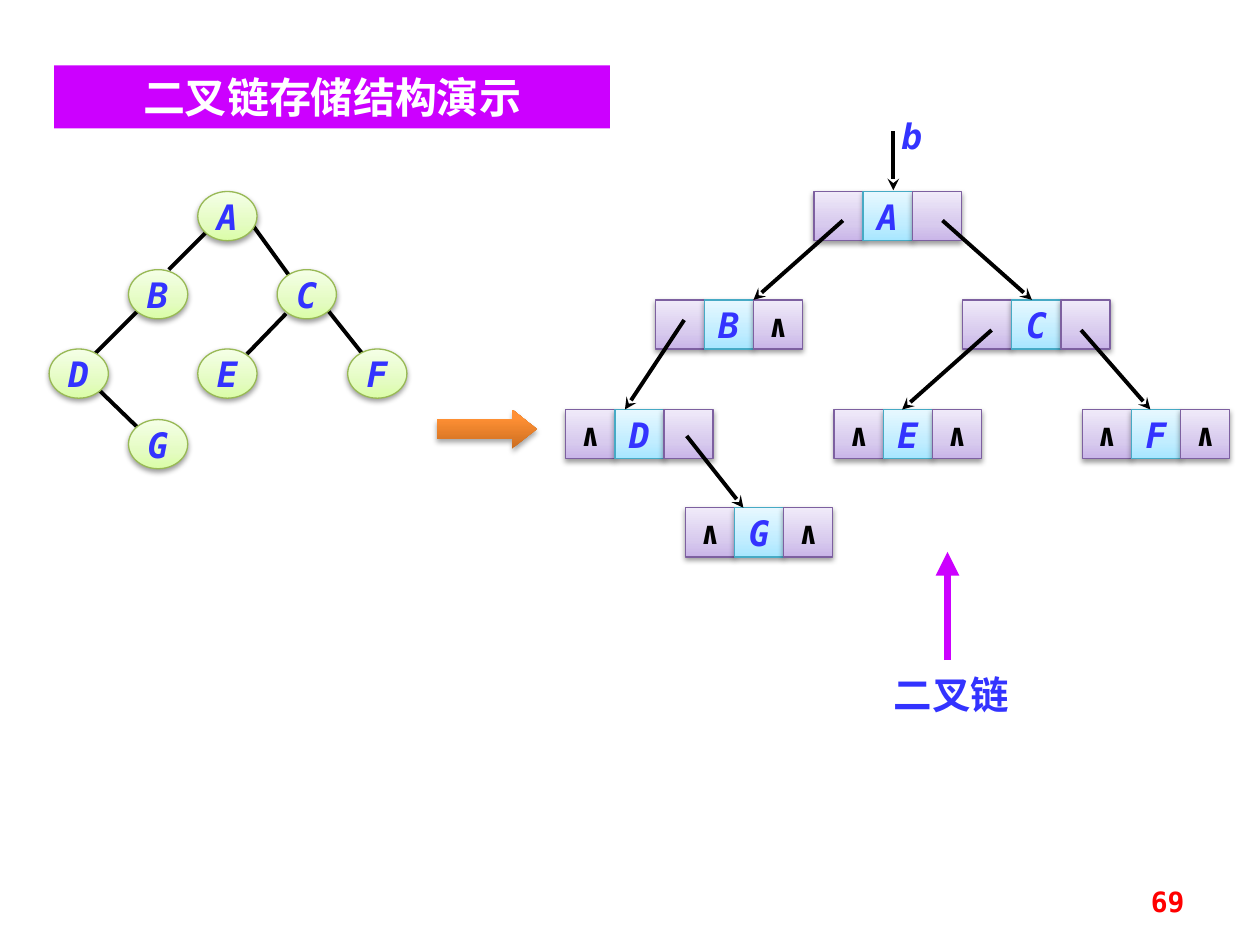
"""Build a slide that turns a binary tree into its linked storage structure."""
from dataclasses import dataclass

from lxml import etree
from pptx import Presentation
from pptx import util as u
from pptx.dml import color
from pptx.enum import shapes, text
from pptx.oxml import ns

MONO, CJK = "DejaVu Sans Mono", "Noto Sans CJK SC"
BLUE, BLACK, RED, WHITE, MAGENTA = "3333FF", "000000", "FF0000", "FFFFFF", "CC00FF"
CELL = 0.39
NULL = "∧"


@dataclass(frozen=True)
class Finish:
    """Gradient, outline and shadow of a raised shape."""
    stops: tuple[tuple[int, str], ...]
    outline: str | None = None
    opacity: int = 38
    distance: float = 1.6


@dataclass(frozen=True)
class Style:
    """Look of a run of text."""
    size: float
    hue: str
    italic: bool = False
    font: str = MONO


@dataclass(frozen=True)
class TreeNode:
    """Circle of the binary tree."""
    label: str
    left: float
    top: float


@dataclass(frozen=True)
class LinkNode:
    """Three-cell record, placed by its middle cell."""
    label: str
    left: float
    top: float
    left_link: str = ""
    right_link: str = ""


@dataclass(frozen=True)
class Link:
    """Straight line between two points."""
    start: tuple[float, float]
    end: tuple[float, float]


GREEN_FINISH = Finish(((0, "DAFDA7"), (35, "E4FCC2"), (100, "F5FFE7")), "98B955")
PURPLE_FINISH = Finish(((0, "C9B5E8"), (35, "D8CBEE"), (100, "F0EAF9")), "7D60A0")
CYAN_FINISH = Finish(((0, "A7E6FF"), (35, "C1EDFF"), (100, "E7F8FF")), "46AAC5")
ORANGE_FINISH = Finish(((0, "CC6E20"), (80, "FF9034"), (100, "FF9136")), None, 35, 1.8)
LABEL = Style(20, BLUE, italic=True)
MARK = Style(18, BLACK)

TREE_NODES = (
    TreeNode("A", 1.57, 1.52), TreeNode("B", 1.02, 2.14), TreeNode("C", 2.2, 2.14),
    TreeNode("D", 0.39, 2.77), TreeNode("E", 1.57, 2.77), TreeNode("G", 1.02, 3.33),
    TreeNode("F", 2.76, 2.77),
)
TREE_EDGES = (
    Link((0.78, 3.09), (1.1, 3.4)), Link((1.65, 1.83), (1.34, 2.14)),
    Link((2, 1.78), (2.29, 2.18)), Link((1.1, 2.46), (0.71, 2.85)),
    Link((2.27, 2.49), (1.96, 2.81)), Link((2.6, 2.46), (2.91, 2.85)),
)
LINK_NODES = (
    LinkNode("A", 6.85, 1.52), LinkNode("B", 5.59, 2.38, "", NULL),
    LinkNode("D", 4.88, 3.25, NULL), LinkNode("G", 5.83, 4.03, NULL, NULL),
    LinkNode("C", 8.03, 2.38), LinkNode("E", 7.01, 3.25, NULL, NULL),
    LinkNode("F", 8.98, 3.25, NULL, NULL),
)
POINTERS = (
    Link((6.69, 1.75), (5.98, 2.38)), Link((5.43, 2.54), (4.96, 3.25)),
    Link((7.48, 1.75), (8.19, 2.38)), Link((5.45, 3.46), (5.9, 4.03)),
    Link((7.87, 2.62), (7.16, 3.25)), Link((8.58, 2.62), (9.13, 3.25)),
    Link((7.09, 1.04), (7.09, 1.51)),
)


def rgb(code: str) -> color.RGBColor:
    """Turn a hex string into a colour."""
    return color.RGBColor.from_string(code)


def add_child(parent, tag: str, **attributes):
    """Append a DrawingML element."""
    return etree.SubElement(parent, ns.qn(f"a:{tag}"), {k: str(v) for k, v in attributes.items()})


def write(shape, words: str, style: Style, align=text.PP_ALIGN.CENTER,
          anchor=text.MSO_ANCHOR.MIDDLE, wrap: bool = True) -> None:
    """Put one run of bold text into a shape."""
    frame = shape.text_frame
    frame.word_wrap = wrap
    frame.vertical_anchor = anchor
    para = frame.paragraphs[0]
    para.alignment = align
    span = para.add_run()
    span.text = words
    span.font.name = style.font
    span.font.size = u.Pt(style.size)
    span.font.bold = True
    span.font.italic = style.italic
    span.font.color.rgb = rgb(style.hue)
    add_child(span.font._element, "ea", typeface=CJK)


def add_raised(canvas, kind, left: float, top: float, width: float, height: float, finish: Finish):
    """Draw a shape with an upward gradient and a soft shadow."""
    shape = canvas.add_shape(kind, *map(u.Inches, (left, top, width, height)))
    shape.shadow.inherit = False
    if finish.outline:
        shape.line.color.rgb = rgb(finish.outline)
        shape.line.width = u.Pt(0.75)
    else:
        shape.line.fill.background()
    properties = shape._element.spPr
    gradient = etree.Element(ns.qn("a:gradFill"), rotWithShape="1")
    stops = add_child(gradient, "gsLst")
    for position, code in finish.stops:
        add_child(add_child(stops, "gs", pos=position * 1000), "srgbClr", val=code)
    add_child(gradient, "lin", ang=270 * 60000, scaled=0)
    properties.insert(2, gradient)
    shadow = add_child(properties.find(ns.qn("a:effectLst")), "outerShdw", blurRad=u.Pt(3.1),
                       dist=u.Pt(finish.distance), dir=90 * 60000, rotWithShape=0)
    add_child(add_child(shadow, "srgbClr", val=BLACK), "alpha", val=finish.opacity * 1000)
    return shape


def add_line(canvas, link: Link, head: str = "", hue: str = BLACK, width: float = 2.25) -> None:
    """Draw a straight line, with an arrowhead if one is named."""
    line = canvas.add_connector(shapes.MSO_CONNECTOR.STRAIGHT,
                                *map(u.Inches, link.start + link.end))
    line.line.color.rgb = rgb(hue)
    line.line.width = u.Pt(width)
    if head:
        add_child(line.line._get_or_add_ln(), "tailEnd", type=head)
    add_child(line._element.spPr, "effectLst")


def add_label(canvas, left: float, top: float, width: float, height: float,
              words: str, style: Style, **layout):
    """Add a text box with one line of text."""
    box = canvas.add_textbox(*map(u.Inches, (left, top, width, height)))
    write(box, words, style, **layout)
    return box


def add_tree(canvas) -> None:
    """Draw the binary tree."""
    for edge in TREE_EDGES:
        add_line(canvas, edge)
    for node in TREE_NODES:
        circle = add_raised(canvas, shapes.MSO_SHAPE.OVAL, node.left, node.top, 0.47, CELL,
                            GREEN_FINISH)
        write(circle, node.label, LABEL, wrap=False)


def add_link_node(canvas, node: LinkNode) -> None:
    """Draw the left link, label and right link cells of a record."""
    cells = ((node.left_link, MARK, PURPLE_FINISH), (node.label, LABEL, CYAN_FINISH),
             (node.right_link, MARK, PURPLE_FINISH))
    for column, (words, style, finish) in enumerate(cells, start=-1):
        cell = add_raised(canvas, shapes.MSO_SHAPE.RECTANGLE, node.left + column * CELL,
                          node.top, CELL, CELL, finish)
        if words:
            write(cell, words, style, wrap=False)


def main() -> None:
    """Build and save the deck."""
    deck = Presentation()
    deck.slide_width, deck.slide_height = u.Inches(10), u.Inches(7.5)
    page = deck.slides.add_slide(deck.slide_layouts[6])

    add_tree(page.shapes.add_group_shape().shapes)
    arrow = add_raised(page.shapes, shapes.MSO_SHAPE.RIGHT_ARROW, 3.47, 3.25, 0.79, 0.31,
                       ORANGE_FINISH)
    arrow.adjustments[1] = 0.63

    chain = page.shapes.add_group_shape().shapes
    for node in LINK_NODES:
        add_link_node(chain, node)
    for pointer in POINTERS:
        add_line(chain, pointer, "stealth")
    add_label(chain, 6.88, 0.86, 0.71, 0.43, "b", LABEL)

    title = add_label(page.shapes, 0.43, 0.52, 4.41, 0.5, "二叉链存储结构演示", Style(24, WHITE))
    title.fill.solid()
    title.fill.fore_color.rgb = rgb(MAGENTA)

    caption = page.shapes.add_group_shape().shapes
    add_label(caption, 6.84, 5.27, 1.42, 0.47, "二叉链", Style(22, BLUE, font=CJK))
    add_line(caption, Link((7.52, 5.24), (7.52, 4.38)), "triangle", MAGENTA, 4.5)
    add_label(page.shapes, 7.17, 6.95, 2.33, 0.4, "69", Style(16, RED),
              align=text.PP_ALIGN.RIGHT)
    deck.save("out.pptx")


if __name__ == "__main__":
    main()
